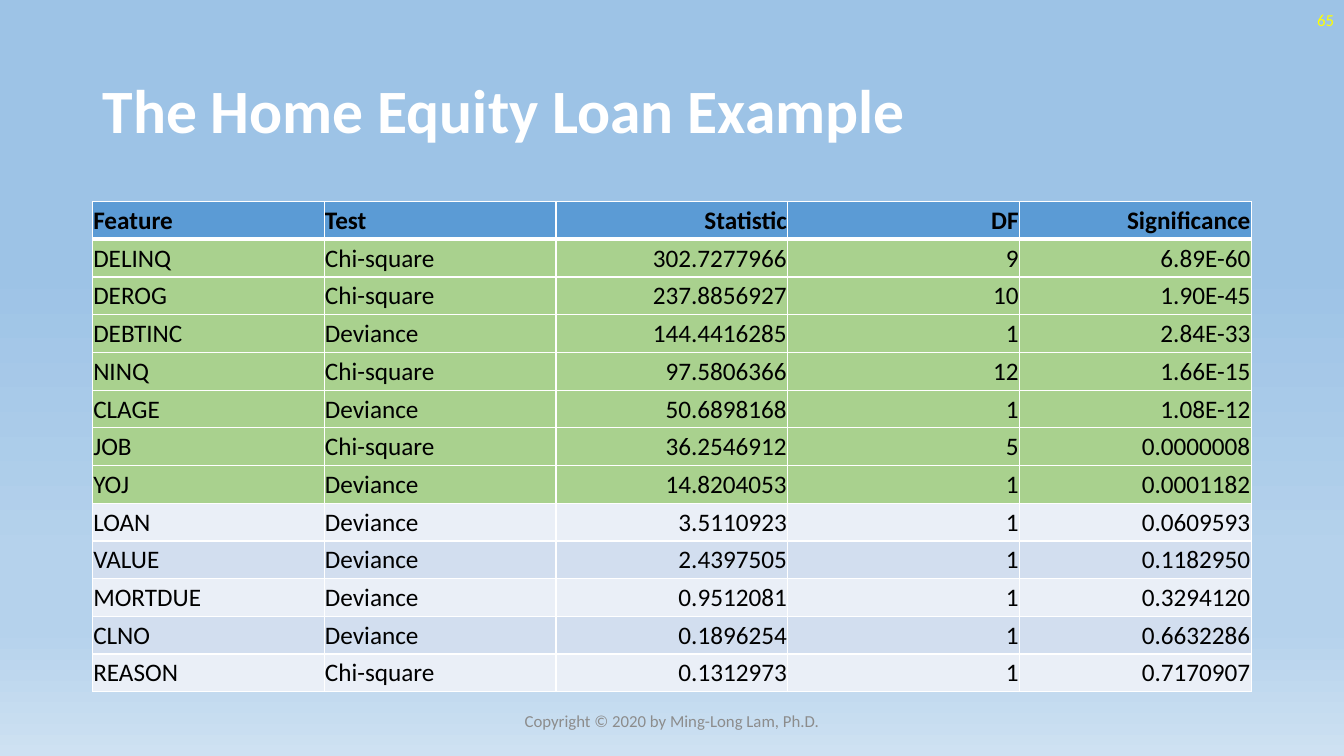
"""Build the slide of feature tests for the home equity loan example."""
import lxml.etree
import pptx
import pptx.dml.color
import pptx.enum.text
import pptx.oxml.ns
import pptx.util

Cm = pptx.util.Cm
Pt = pptx.util.Pt
qn = pptx.oxml.ns.qn
ALIGN = pptx.enum.text.PP_ALIGN
MIDDLE = pptx.enum.text.MSO_ANCHOR.MIDDLE

HUES = {
    "white": "FFFFFF", "black": "000000", "yellow": "FFFF00", "grey": "8C8C8C",
    "head": "5B9BD5", "green": "A9D18E", "pale": "EAEFF7", "band": "D2DEEF",
    "sky": "9DC3E6", "mid": "B5D2EC", "light": "CEE1F2",
}
STOPS = [(35, "sky"), (74, "mid"), (83, "mid"), (100, "light")]
STRONG = 7
ROWS = [
    ("Feature", "Test", "Statistic", "DF", "Significance"),
    ("DELINQ", "Chi-square", "302.7277966", "9", "6.89E-60"),
    ("DEROG", "Chi-square", "237.8856927", "10", "1.90E-45"),
    ("DEBTINC", "Deviance", "144.4416285", "1", "2.84E-33"),
    ("NINQ", "Chi-square", "97.5806366", "12", "1.66E-15"),
    ("CLAGE", "Deviance", "50.6898168", "1", "1.08E-12"),
    ("JOB", "Chi-square", "36.2546912", "5", "0.0000008"),
    ("YOJ", "Deviance", "14.8204053", "1", "0.0001182"),
    ("LOAN", "Deviance", "3.5110923", "1", "0.0609593"),
    ("VALUE", "Deviance", "2.4397505", "1", "0.1182950"),
    ("MORTDUE", "Deviance", "0.9512081", "1", "0.3294120"),
    ("CLNO", "Deviance", "0.1896254", "1", "0.6632286"),
    ("REASON", "Chi-square", "0.1312973", "1", "0.7170907"),
]


def color(name):
    return pptx.dml.color.RGBColor.from_string(HUES[name])


def write(frame, text, size=18, hue="black", bold=False, align=ALIGN.LEFT, lead=1.0):
    frame.word_wrap = True
    para = frame.paragraphs[0]
    para.alignment = align
    para.line_spacing = lead
    run = para.add_run()
    run.text = text
    run.font.name = "Calibri"
    run.font.size = Pt(size)
    run.font.bold = bold
    run.font.color.rgb = color(hue)


def paint(slide):
    fill = slide.background.fill
    fill.gradient()
    fill.gradient_angle = 270
    stops = next(slide.element.iter(qn("a:gsLst")))
    for old in list(stops):
        stops.remove(old)
    for spot, hue in STOPS:
        stop = lxml.etree.SubElement(stops, qn("a:gs"), pos=str(spot * 1000))
        lxml.etree.SubElement(stop, qn("a:srgbClr"), val=HUES[hue])


def title(slide, text):
    shape = slide.shapes.title
    shape.left, shape.top = Cm(2.33), Cm(1.02)
    shape.width, shape.height = Cm(29.21), Cm(3.68)
    shape.text_frame.vertical_anchor = MIDDLE
    write(shape.text_frame, text, size=44, hue="white", bold=True, lead=0.9)


def label(slide, text, left, top, width, **style):
    box = slide.shapes.add_textbox(Cm(left), Cm(top), Cm(width), Cm(1.02))
    box.text_frame.vertical_anchor = MIDDLE
    write(box.text_frame, text, size=12, **style)


def edge(cell, row):
    widths = {"L": 1, "R": 1, "T": 3 if row == 1 else 1, "B": 3 if row == 0 else 1}
    props = cell._tc.get_or_add_tcPr()
    for side, width in widths.items():
        line = lxml.etree.SubElement(props, qn("a:ln" + side), w=str(Pt(width)))
        solid = lxml.etree.SubElement(line, qn("a:solidFill"))
        lxml.etree.SubElement(solid, qn("a:srgbClr"), val=HUES["white"])


def shade(row):
    if row == 0:
        return "head"
    if row <= STRONG:
        return "green"
    return "band" if row % 2 else "pale"


def grid(slide):
    count, wide = len(ROWS), len(ROWS[0])
    table = slide.shapes.add_table(
        count, wide, Cm(2.33), Cm(5.08), Cm(5.84 * wide), Cm(0.95 * count)).table
    table.horz_banding = False
    for col in table.columns:
        col.width = Cm(5.84)
    for r, items in enumerate(ROWS):
        table.rows[r].height = Cm(0.95)
        for c, text in enumerate(items):
            cell = table.cell(r, c)
            edge(cell, r)
            cell.fill.solid()
            cell.fill.fore_color.rgb = color(shade(r))
            cell.margin_left = cell.margin_right = cell.margin_top = Cm(0.02)
            cell.margin_bottom = 0
            cell.vertical_anchor = MIDDLE
            write(cell.text_frame, text, bold=r == 0,
                  align=ALIGN.RIGHT if c > 1 else ALIGN.LEFT)


def main():
    deck = pptx.Presentation()
    deck.slide_width, deck.slide_height = Cm(33.87), Cm(19.05)
    slide = deck.slides.add_slide(deck.slide_layouts.get_by_name("Title Only"))
    paint(slide)
    title(slide, "The Home Equity Loan Example")
    label(slide, "65", 26.25, 0, 7.62, hue="yellow", align=ALIGN.RIGHT)
    grid(slide)
    label(slide, "Copyright © 2020 by Ming-Long Lam, Ph.D.", 11.22, 17.66, 11.43,
          hue="grey", align=ALIGN.CENTER)
    deck.save("out.pptx")


if __name__ == "__main__":
    main()
